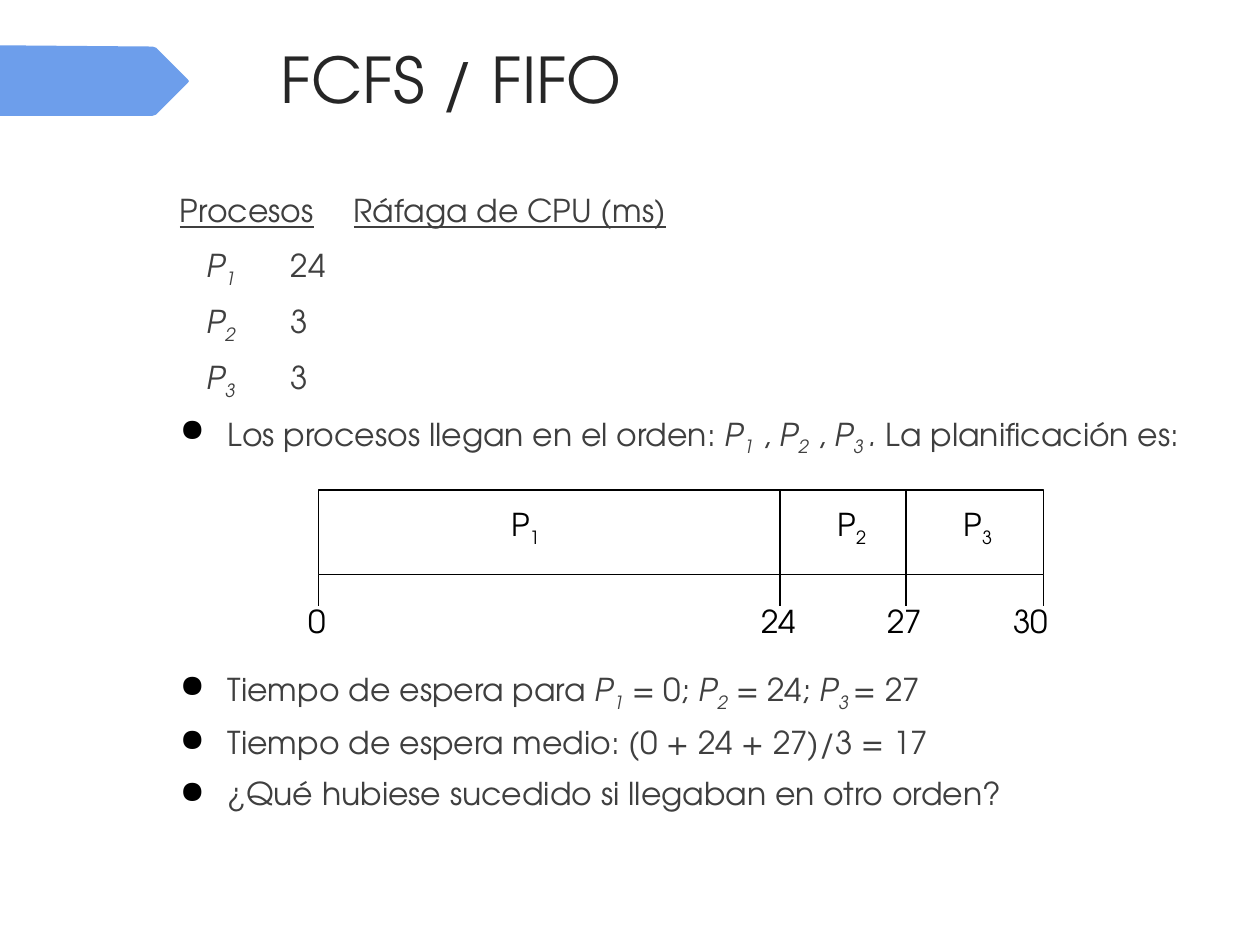
from lxml.etree import SubElement
from pptx import Presentation
from pptx.dml.color import RGBColor
from pptx.enum.shapes import MSO_CONNECTOR, MSO_SHAPE
from pptx.enum.text import MSO_ANCHOR, PP_ALIGN
from pptx.oxml.ns import qn
from pptx.util import Inches, Pt

FONT = "TeX Gyre Adventor"
BLACK, WHITE, BLUE, TITLE_GREY, BODY_GREY = "000000", "FFFFFF", "6D9EEB", "262626", "3F3F3F"


def process(number, gap=""):
    """Runs of a process name: italic P with its number as subscript."""
    return [("P", "i"), (f"{number}{gap}", "is")]


# Run styles: i italic, s subscript, u underline
TITLE = "FCFS / FIFO"
HEADER = [("Procesos", "u"), ("\t", ""), ("Ráfaga de CPU (ms)", "u")]
BURSTS = [(1, 24), (2, 3), (3, 3)]
# Bullet runs with the space before each bullet in points
BULLETS = [
    (10, [("Los procesos llegan en el orden: ", ""), *process(1), (" , ", ""),
          *process(2), (" , ", ""), *process(3, " "), (". ", "i"),
          ("La planificación es:", "")]),
    (124, [("Tiempo de espera para ", ""), *process(1), (" = 0; ", ""),
           *process(2), (" = 24; ", ""), *process(3, " "), ("= 27", "")]),
    (10, [("Tiempo de espera medio: (0 + 24 + 27)/3 = 17", "")]),
    (10, [("¿Qué hubiese sucedido si llegaban en otro orden?", "")]),
]

# Gantt chart, in inches
BAR_TOP, BAR_BOTTOM, TICK_BOTTOM = 3.89, 4.56, 4.81
TICKS = [(2.53, 2.52, "0"), (6.19, 6.18, "24"), (7.19, 7.18, "27"), (8.28, 8.18, "30")]
BAR_LABELS = [(4.17, 1), (6.76, 2), (7.76, 3)]
LABEL_W, LABEL_H, BAR_LABEL_TOP, TIME_TOP = 0.48, 0.4, 3.98, 4.73

ARROW = [(0, 0.36), (1.21, 0.37), (1.24, 0.38), (1.49, 0.63), (1.5, 0.645),
         (1.49, 0.66), (1.24, 0.91), (1.21, 0.92), (0, 0.92)]


def rgb(color):
    return RGBColor.from_string(color)


def write(paragraph, runs, size, color):
    font = paragraph.font
    font.name, font.size = FONT, Pt(size)
    font.color.rgb = rgb(color)
    for text, style in runs:
        run = paragraph.add_run()
        run.text = text
        if "i" in style:
            run.font.italic = True
        if "u" in style:
            run.font.underline = True
        if "s" in style:
            run.font._element.set("baseline", "-25000")


def set_indent(paragraph, left, first):
    props = paragraph._p.get_or_add_pPr()
    props.set("marL", str(Inches(left)))
    props.set("indent", str(Inches(first)))
    return props


def add_bullet(props):
    color = SubElement(props, qn("a:buClr"))
    SubElement(color, qn("a:srgbClr"), val=BLACK)
    SubElement(props, qn("a:buChar"), char="●")


def add_text_frame(shapes, left, top, width, height, wrap=True):
    box = shapes.add_textbox(Inches(left), Inches(top), Inches(width), Inches(height))
    box.text_frame.word_wrap = wrap
    return box.text_frame


def add_label(shapes, center, top, runs):
    frame = add_text_frame(shapes, center - LABEL_W / 2, top, LABEL_W, LABEL_H, wrap=False)
    frame.vertical_anchor = MSO_ANCHOR.MIDDLE
    label = frame.paragraphs[0]
    label.alignment = PP_ALIGN.CENTER
    write(label, runs, 18, BLACK)


def add_vertical(shapes, x, top, bottom):
    line = shapes.add_connector(MSO_CONNECTOR.STRAIGHT, Inches(x), Inches(top),
                                Inches(x), Inches(bottom))
    line.line.color.rgb = rgb(BLACK)
    line.line.width = Pt(0.75)
    SubElement(line._element.spPr, qn("a:effectLst"))


def add_arrow(shapes):
    points = [(Inches(x), Inches(y)) for x, y in ARROW]
    builder = shapes.build_freeform(*points[0])
    builder.add_line_segments(points[1:], close=True)
    arrow = builder.convert_to_shape()
    arrow.shadow.inherit = False
    arrow.fill.solid()
    arrow.fill.fore_color.rgb = rgb(BLUE)
    arrow.line.fill.background()


def add_body(shapes):
    frame = add_text_frame(shapes, 1.33, 1.5, 8.27, 5.17)
    header = frame.paragraphs[0]
    header.line_spacing = 0.9
    set_indent(header, 0.38, -0.38)
    write(header, HEADER, 18, BODY_GREY)

    rows = [(10, [*process(number), (f"\t{burst}", "")], -0.17, False)
            for number, burst in BURSTS]
    rows += [(space, runs, -0.38, True) for space, runs in BULLETS]
    for space, runs, first, bulleted in rows:
        paragraph = frame.add_paragraph()
        paragraph.line_spacing = 0.9
        paragraph.space_before = Pt(space)
        props = set_indent(paragraph, 0.38, first)
        if bulleted:
            add_bullet(props)
        write(paragraph, runs, 18, BODY_GREY)


def add_gantt(shapes):
    start, end = TICKS[0][0], TICKS[-1][0]
    bar = shapes.add_shape(MSO_SHAPE.RECTANGLE, Inches(start), Inches(BAR_TOP),
                           Inches(end - start), Inches(BAR_BOTTOM - BAR_TOP))
    bar.shadow.inherit = False
    bar.fill.solid()
    bar.fill.fore_color.rgb = rgb(WHITE)
    bar.line.color.rgb = rgb(BLACK)
    bar.line.width = Pt(0.75)
    for center, number in BAR_LABELS:
        add_label(shapes, center, BAR_LABEL_TOP, [("P", ""), (str(number), "s")])
    for x, _, _ in TICKS[1:-1]:
        add_vertical(shapes, x, BAR_TOP, BAR_BOTTOM)
    for x, center, time in TICKS:
        add_vertical(shapes, x, BAR_BOTTOM, TICK_BOTTOM)
        add_label(shapes, center, TIME_TOP, [(time, "")])


def main():
    deck = Presentation()
    deck.slide_width, deck.slide_height = Inches(10), Inches(7.5)
    slide = deck.slides.add_slide(deck.slide_layouts[6])
    add_arrow(slide.shapes)
    title = add_text_frame(slide.shapes, 2.13, 0.27, 7.21, 1.4)
    write(title.paragraphs[0], [(TITLE, "")], 36, TITLE_GREY)
    add_body(slide.shapes)
    add_gantt(slide.shapes.add_group_shape().shapes)
    deck.save("out.pptx")


if __name__ == "__main__":
    main()
